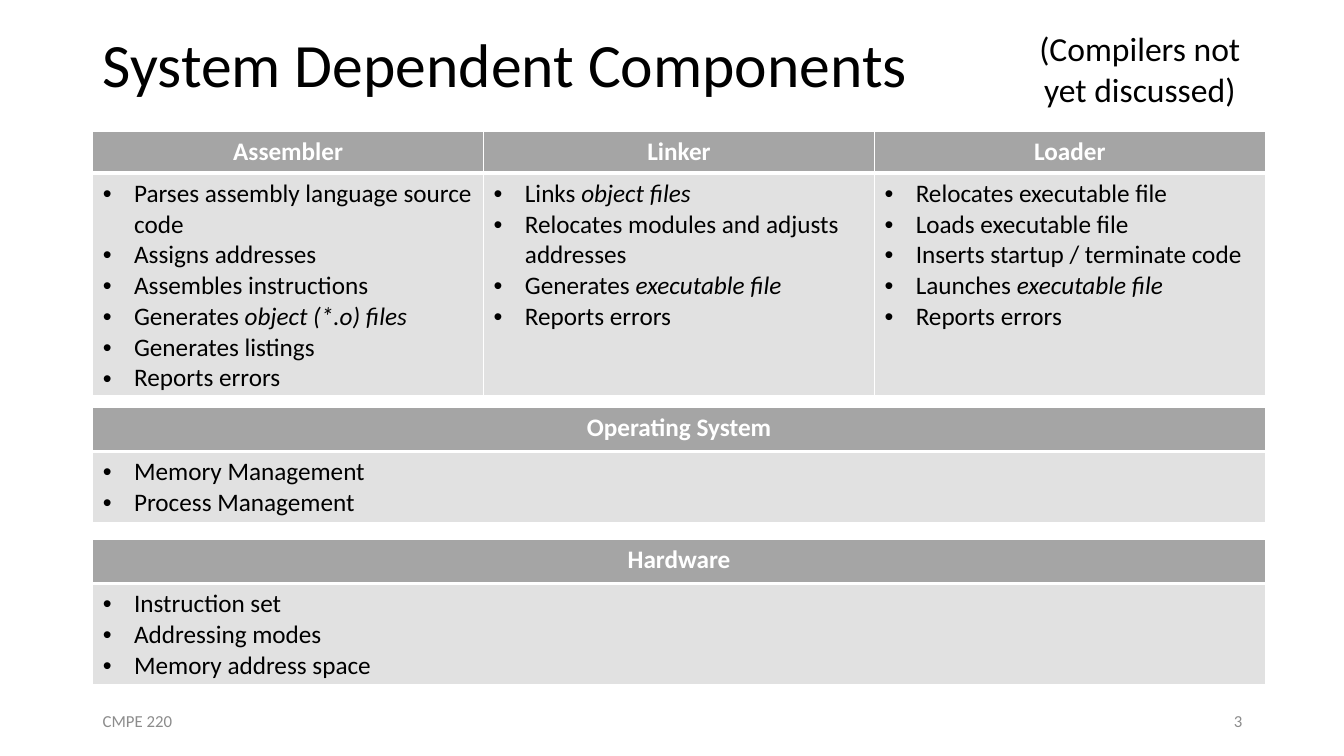
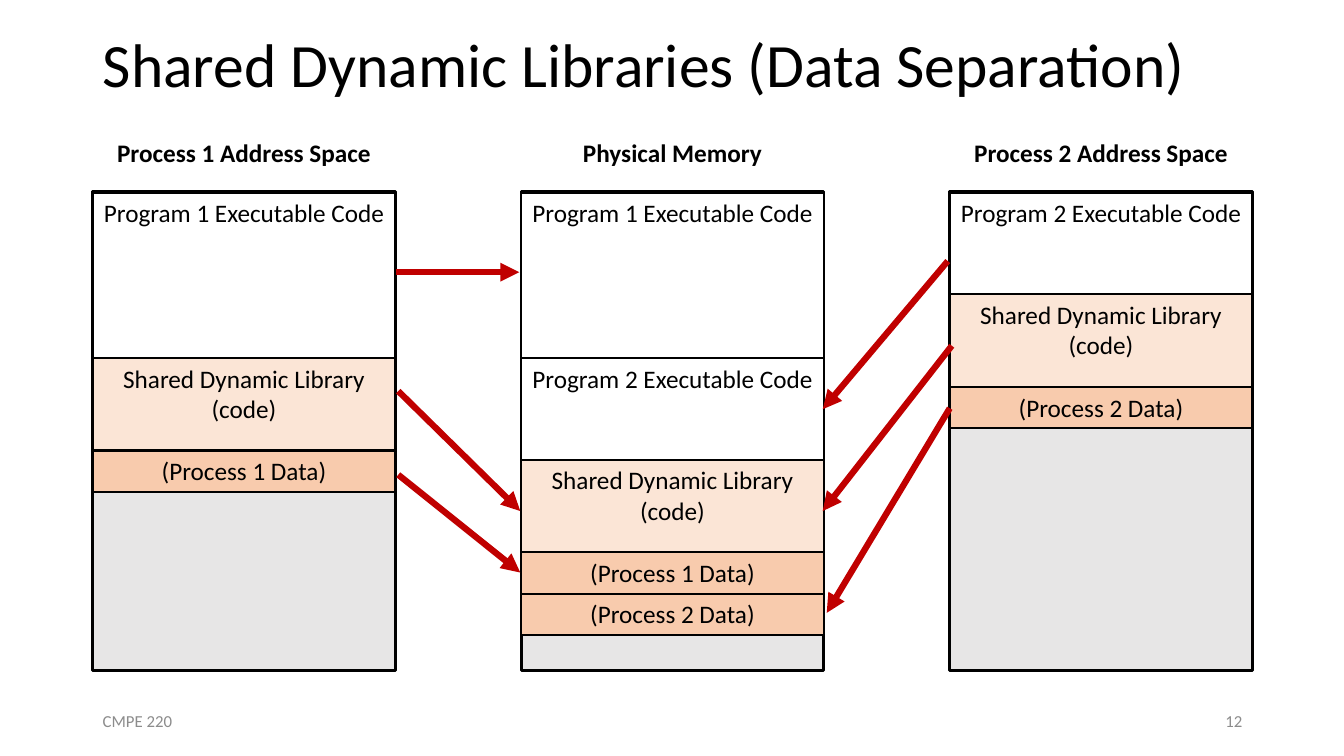
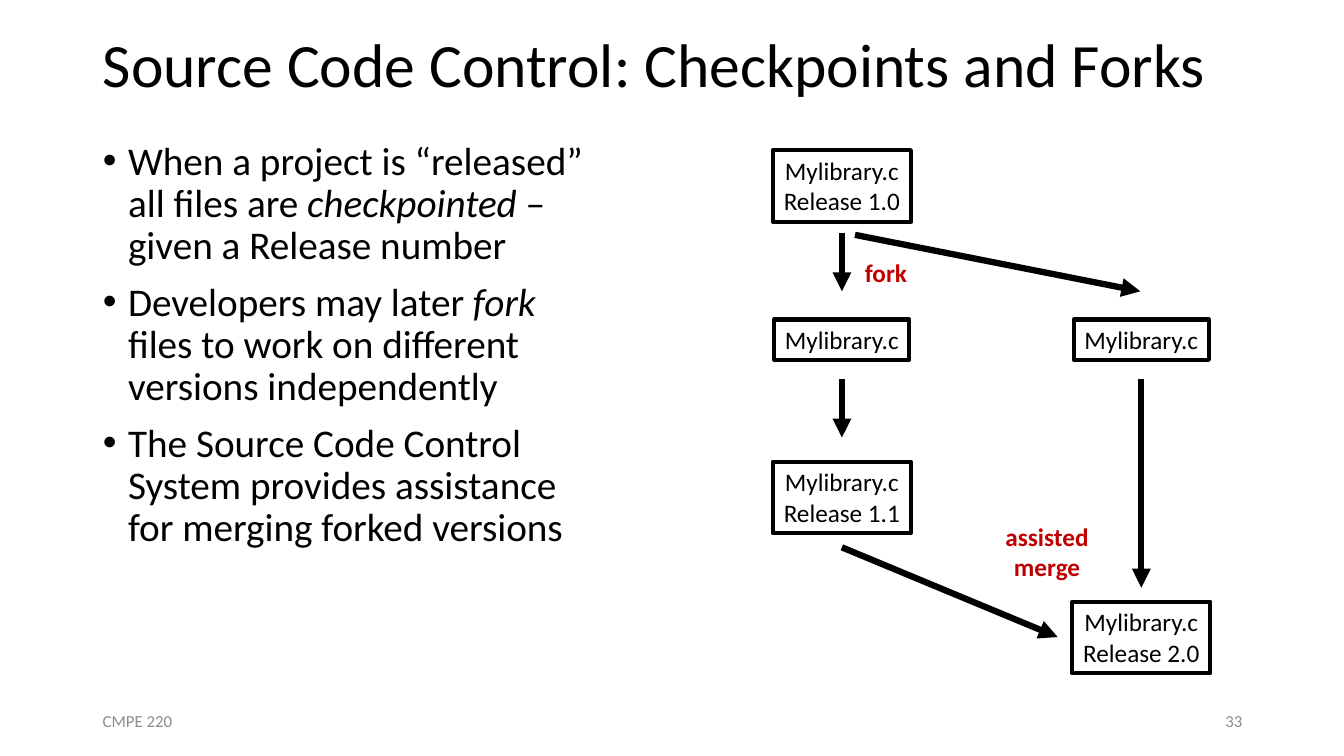
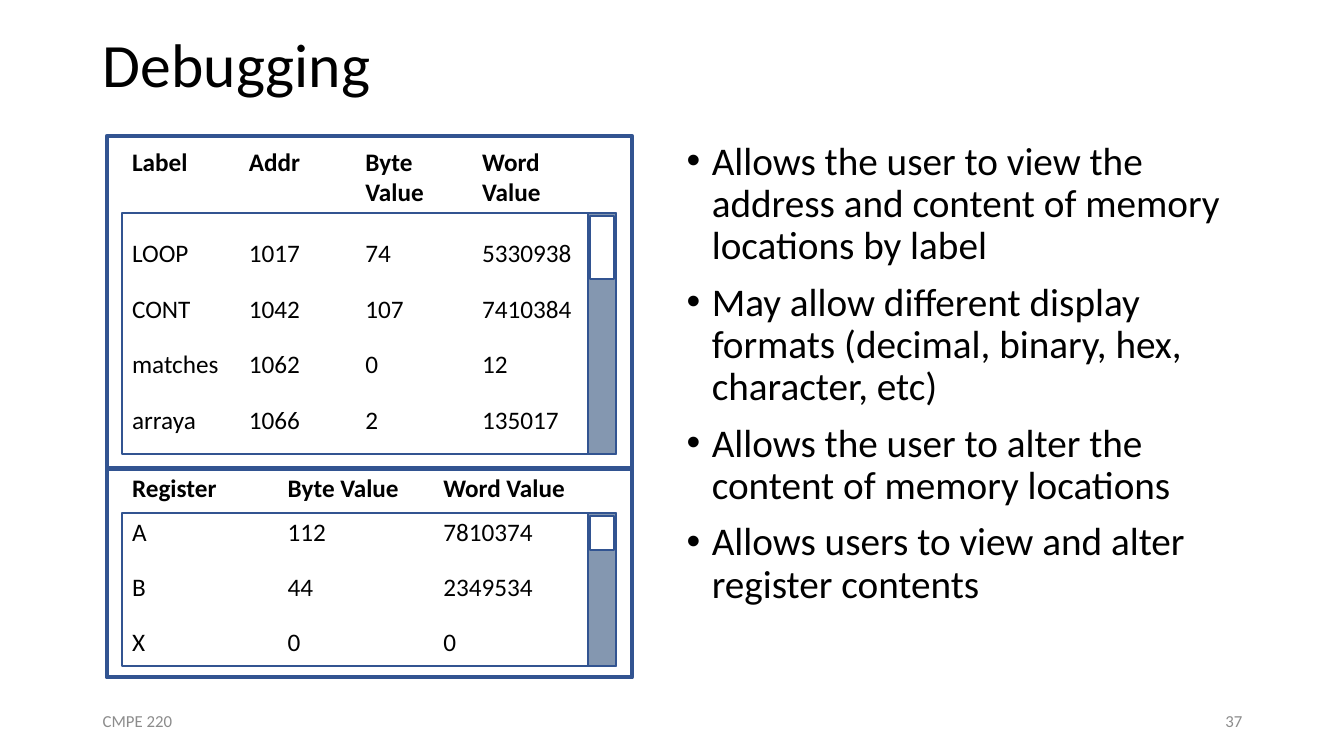
from lxml.etree import SubElement
from pptx import Presentation
from pptx.dml.color import RGBColor
from pptx.enum.shapes import MSO_CONNECTOR as CONNECTOR, MSO_SHAPE as SHAPE
from pptx.enum.text import MSO_ANCHOR as ANCHOR, MSO_AUTO_SIZE as AUTO_SIZE, PP_ALIGN as ALIGN
from pptx.oxml.ns import qn
from pptx.util import Inches, Pt

FONT = "Calibri"
BLACK = RGBColor(0x00, 0x00, 0x00)
WHITE = RGBColor(0xFF, 0xFF, 0xFF)
FOOTER_GRAY = RGBColor(0x8C, 0x8C, 0x8C)
HEADER_GRAY = RGBColor(0xA5, 0xA5, 0xA5)
CELL_GRAY = RGBColor(0xE1, 0xE1, 0xE1)
MEMORY_GRAY = RGBColor(0xE7, 0xE6, 0xE6)
RED = RGBColor(0xC0, 0x00, 0x00)
LIBRARY_PEACH = RGBColor(0xFB, 0xE5, 0xD6)
DATA_ORANGE = RGBColor(0xF8, 0xCB, 0xAD)
PANE_BLUE = RGBColor(0x32, 0x54, 0x91)
SCROLL_BLUE = RGBColor(0x84, 0x97, 0xB0)

MARGIN = 0.92
PLAIN_TABLE = "{2D5ABB26-0587-4C30-8999-92F81FD0307C}"
TITLE_AND_BODY, TITLE_ONLY = 1, 5
CODE, SMALL_CODE, LIBRARY, DATA = 1.64, 1.01, 0.92, 0.41


def format_paragraph(paragraph, size=18, color=BLACK, bold=False, align=ALIGN.LEFT):
    """Style a paragraph and all its runs."""
    paragraph.alignment = align
    for run in paragraph.runs:
        font = run.font
        font.name, font.size, font.bold = FONT, Pt(size), bold
        font.color.rgb = color


def write(frame, text, **style):
    """Write plain text, one paragraph a line."""
    frame.text = text
    for paragraph in frame.paragraphs:
        format_paragraph(paragraph, **style)


def write_bullets(frame, items, size, indent, line_spacing=None, gap=0):
    """Write bulleted items, with underscores around italic words."""
    for index, item in enumerate(items):
        paragraph = frame.add_paragraph() if index else frame.paragraphs[0]
        for part, words in enumerate(item.split("_")):
            if words:
                run = paragraph.add_run()
                run.text = words
                run.font.italic = part % 2 == 1
        properties = paragraph._p.get_or_add_pPr()
        properties.set("marL", str(Inches(indent)))
        properties.set("indent", str(-Inches(indent)))
        SubElement(properties, qn("a:buFont")).set("typeface", "Arial")
        SubElement(properties, qn("a:buChar")).set("char", "•")
        paragraph.space_before = Pt(gap if index else 0)
        if line_spacing:
            paragraph.line_spacing = line_spacing
        format_paragraph(paragraph, size)


def place(shape, left, top, width, height):
    """Move and size a placeholder."""
    shape.left, shape.top = Inches(left), Inches(top)
    shape.width, shape.height = Inches(width), Inches(height)


def add_label(slide, text, left, top, width, height, anchor=ANCHOR.TOP, **style):
    """Add a text box."""
    frame = slide.shapes.add_textbox(
        Inches(left), Inches(top), Inches(width), Inches(height)).text_frame
    frame.word_wrap = True
    frame.vertical_anchor = anchor
    write(frame, text, **style)


def add_box(slide, left, top, width, height, fill=None, line=BLACK, weight=1.5, text=""):
    """Add an outlined rectangle, filled or hollow, with optional text."""
    box = slide.shapes.add_shape(
        SHAPE.RECTANGLE, Inches(left), Inches(top), Inches(width), Inches(height))
    box.shadow.inherit = False
    if fill is None:
        box.fill.background()
    else:
        box.fill.solid()
        box.fill.fore_color.rgb = fill
    box.line.color.rgb = line
    box.line.width = Pt(weight)
    if text:
        box.text_frame.word_wrap = False
        box.text_frame.vertical_anchor = ANCHOR.TOP
        write(box.text_frame, text, align=ALIGN.CENTER)


def add_arrow(slide, start, end, color):
    """Add a thick straight arrow."""
    arrow = slide.shapes.add_connector(
        CONNECTOR.STRAIGHT, *(Inches(value) for value in (*start, *end)))
    arrow.line.color.rgb = color
    arrow.line.width = Pt(4.5)
    properties = arrow._element.spPr
    SubElement(properties.find(qn("a:ln")), qn("a:tailEnd")).set("type", "triangle")
    SubElement(properties, qn("a:effectLst"))


def add_plain_table(slide, left, top, width, row_heights, column_count):
    """Add an unstyled table with equal columns."""
    frame = slide.shapes.add_table(
        len(row_heights), column_count, Inches(left), Inches(top),
        Inches(width), Inches(sum(row_heights)))
    frame._element.find(".//" + qn("a:tableStyleId")).text = PLAIN_TABLE
    table = frame.table
    table.first_row = table.horz_banding = False
    for row, height in zip(table.rows, row_heights):
        row.height = Inches(height)
    return table


def color_cell(cell, fill, top_weight, bottom_weight):
    """Give a cell white borders and a solid fill."""
    properties = cell._tc.get_or_add_tcPr()
    for side, weight in (("L", 1), ("R", 1), ("T", top_weight), ("B", bottom_weight)):
        border = SubElement(properties, qn(f"a:ln{side}"))
        border.set("w", str(Pt(weight)))
        SubElement(SubElement(border, qn("a:solidFill")), qn("a:srgbClr")).set("val", str(WHITE))
    cell.fill.solid()
    cell.fill.fore_color.rgb = fill


def add_component_table(slide, top, row_heights, components):
    """Add a table with one column of bullets for each component."""
    table = add_plain_table(slide, MARGIN, top, 11.63, row_heights, len(components))
    for column, (name, duties) in enumerate(components.items()):
        header, body = table.cell(0, column), table.cell(1, column)
        color_cell(header, HEADER_GRAY, 1, 3)
        color_cell(body, CELL_GRAY, 3, 1)
        write(header.text_frame, name, color=WHITE, bold=True, align=ALIGN.CENTER)
        write_bullets(body.text_frame, duties, 18, 0.31)


def add_memory(slide, name, left, segments):
    """Add an address space with its segments stacked from the top."""
    add_label(slide, name, left, 1.31, 3, 0.4, bold=True, align=ALIGN.CENTER)
    add_box(slide, left, 1.9, 3, 4.75, MEMORY_GRAY, weight=2.25)
    top = 1.91
    for text, height, fill in segments:
        add_box(slide, left, top, 3, height, fill, text=text)
        top += height


def add_debug_pane(slide, top, height, list_top, list_height, thumb_height,
                   table_top, row_heights, rows):
    """Add a debugger pane with a table and a scroll bar."""
    add_box(slide, 1.06, top, 5.21, height, line=PANE_BLUE, weight=3)
    table = add_plain_table(slide, 1.21, table_top, 4.63, row_heights, len(rows[0]))
    for row_index, row in enumerate(rows):
        for column, value in enumerate(row):
            cell = table.cell(row_index, column)
            cell.fill.background()
            write(cell.text_frame, value, bold=row_index == 0)
    add_box(slide, 1.21, list_top, 4.9, list_height, line=PANE_BLUE)
    add_box(slide, 5.83, list_top, 0.28, list_height, SCROLL_BLUE, PANE_BLUE)
    add_box(slide, 5.85, list_top + 0.03, 0.24, thumb_height, WHITE, PANE_BLUE)


def start_slide(deck, title, number, layout=TITLE_ONLY):
    """Add a slide with its title, course footer and number."""
    slide = deck.slides.add_slide(deck.slide_layouts[layout])
    heading = slide.shapes.title
    place(heading, MARGIN, 0, 11.5, 1.35)
    frame = heading.text_frame
    frame.auto_size = AUTO_SIZE.NONE
    frame.vertical_anchor = ANCHOR.MIDDLE
    write(frame, title, size=44)
    frame.paragraphs[0].line_spacing = 0.9
    for text, left, align in (("CMPE 220", MARGIN, ALIGN.LEFT), (str(number), 9.42, ALIGN.RIGHT)):
        add_label(slide, text, left, 6.95, 3, 0.4, ANCHOR.MIDDLE,
                  size=12, color=FOOTER_GRAY, align=align)
    return slide


def fill_body(slide, left, width, items):
    """Fill the body placeholder with a bulleted list."""
    body = slide.placeholders[1]
    place(body, left, 1.35, width, 5.28)
    body.text_frame.auto_size = AUTO_SIZE.NONE
    write_bullets(body.text_frame, items, 28, 0.25, line_spacing=0.9, gap=10)


def build_components(deck):
    """Build the slide on system dependent components."""
    slide = start_slide(deck, "System Dependent Components", 3)
    add_component_table(slide, 1.3, (0.42, 2.2), {
        "Assembler": ("Parses assembly language source code", "Assigns addresses",
                      "Assembles instructions", "Generates _object (*.o) files_",
                      "Generates listings", "Reports errors"),
        "Linker": ("Links _object files_", "Relocates modules and adjusts addresses",
                   "Generates _executable file_", "Reports errors"),
        "Loader": ("Relocates executable file", "Loads executable file",
                   "Inserts startup / terminate code", "Launches _executable file_",
                   "Reports errors"),
    })
    add_component_table(slide, 4.04, (0.44, 0.7), {
        "Operating System": ("Memory Management", "Process Management")})
    add_component_table(slide, 5.35, (0.44, 1), {
        "Hardware": ("Instruction set", "Addressing modes", "Memory address space")})
    add_label(slide, "(Compilers not\vyet discussed)", 10.2, 0.23, 2.21, 0.91,
              size=24, align=ALIGN.CENTER)


def build_libraries(deck):
    """Build the slide on shared dynamic libraries."""
    slide = start_slide(deck, "Shared Dynamic Libraries (Data Separation)", 12)
    library = ("Shared Dynamic Library\n(code)", LIBRARY, LIBRARY_PEACH)
    first_code = ("Program 1 Executable Code", CODE, WHITE)
    second_code = ("Program 2 Executable Code", SMALL_CODE, WHITE)
    first_data, second_data = (
        (f"(Process {process} Data)", DATA, DATA_ORANGE) for process in (1, 2))
    memories = (
        ("Process 1 Address Space", (first_code, library, first_data)),
        ("Physical Memory", (first_code, second_code, library, first_data, second_data)),
        ("Process 2 Address Space", (second_code, library, second_data)),
    )
    for index, (name, segments) in enumerate(memories):
        add_memory(slide, name, MARGIN + 4.25 * index, segments)
    for start, end in (
        ((3.93, 2.7), (5.15, 2.7)),
        ((3.95, 3.88), (5.16, 5.07)),
        ((3.95, 4.71), (5.16, 5.68)),
        ((9.4, 2.59), (8.16, 4.06)),
        ((9.44, 3.43), (8.16, 5.07)),
        ((9.42, 4.05), (8.2, 6.08)),
    ):
        add_arrow(slide, start, end, RED)


def build_forks(deck):
    """Build the slide on checkpoints and forks."""
    slide = start_slide(deck, "Source Code Control: Checkpoints and Forks", 33, TITLE_AND_BODY)
    fill_body(slide, MARGIN, 5.15, (
        "When a project is “released” all files are _checkpointed_ – given a Release number",
        "Developers may later _fork_ files to work on different versions independently",
        "The Source Code Control System provides assistance for merging forked versions",
    ))
    trunk, branch = 8.35, 11.32
    for center, top, release in (
        (trunk, 1.49, "1.0"), (trunk, 3.17, ""), (branch, 3.17, ""),
        (trunk, 4.58, "1.1"), (branch, 5.97, "2.0"),
    ):
        text = f"Mylibrary.c\nRelease {release}" if release else "Mylibrary.c"
        width, height = (1.37, 0.71) if release else (1.34, 0.4)
        add_box(slide, center - width / 2, top, width, height, weight=3, text=text)
    for start, end in (
        ((trunk, 2.31), (trunk, 2.89)),
        ((trunk, 3.76), (trunk, 4.34)),
        ((branch, 3.76), (branch, 5.83)),
        ((8.48, 2.33), (11.31, 2.89)),
        ((trunk, 5.43), (10.49, 6.32)),
    ):
        add_arrow(slide, start, end, BLACK)
    add_label(slide, "fork", 8.48, 2.5, 0.7, 0.4, color=RED, bold=True)
    add_label(slide, "assisted\nmerge", 9.82, 5.12, 1.13, 0.71,
              color=RED, bold=True, align=ALIGN.CENTER)


def build_debugging(deck):
    """Build the slide on debugging."""
    slide = start_slide(deck, "Debugging", 37, TITLE_AND_BODY)
    fill_body(slide, 6.71, 5.71, (
        "Allows the user to view the address and content of memory locations by label",
        "May allow different display formats (decimal, binary, hex, character, etc)",
        "Allows the user to alter the content of memory locations",
        "Allows users to view and alter register contents",
    ))
    add_debug_pane(slide, 1.35, 3.29, 2.11, 2.39, 0.63, 1.41, (0.91, *[0.55] * 4), (
        ("Label", "Addr", "Byte Value", "Word Value"),
        ("LOOP", "1017", "74", "5330938"),
        ("CONT", "1042", "107", "7410384"),
        ("matches", "1062", "0", "12"),
        ("arraya", "1066", "2", "135017"),
    ))
    add_debug_pane(slide, 4.65, 2.07, 5.09, 1.52, 0.34, 4.65, (0.43, *[0.55] * 3), (
        ("Register", "Byte Value", "Word Value"),
        ("A", "112", "7810374"),
        ("B", "44", "2349534"),
        ("X", "0", "0"),
    ))


def main():
    """Build and save the presentation."""
    deck = Presentation()
    deck.slide_width, deck.slide_height = Inches(13.33), Inches(7.5)
    for build in (build_components, build_libraries, build_forks, build_debugging):
        build(deck)
    deck.save("out.pptx")


if __name__ == "__main__":
    main()
